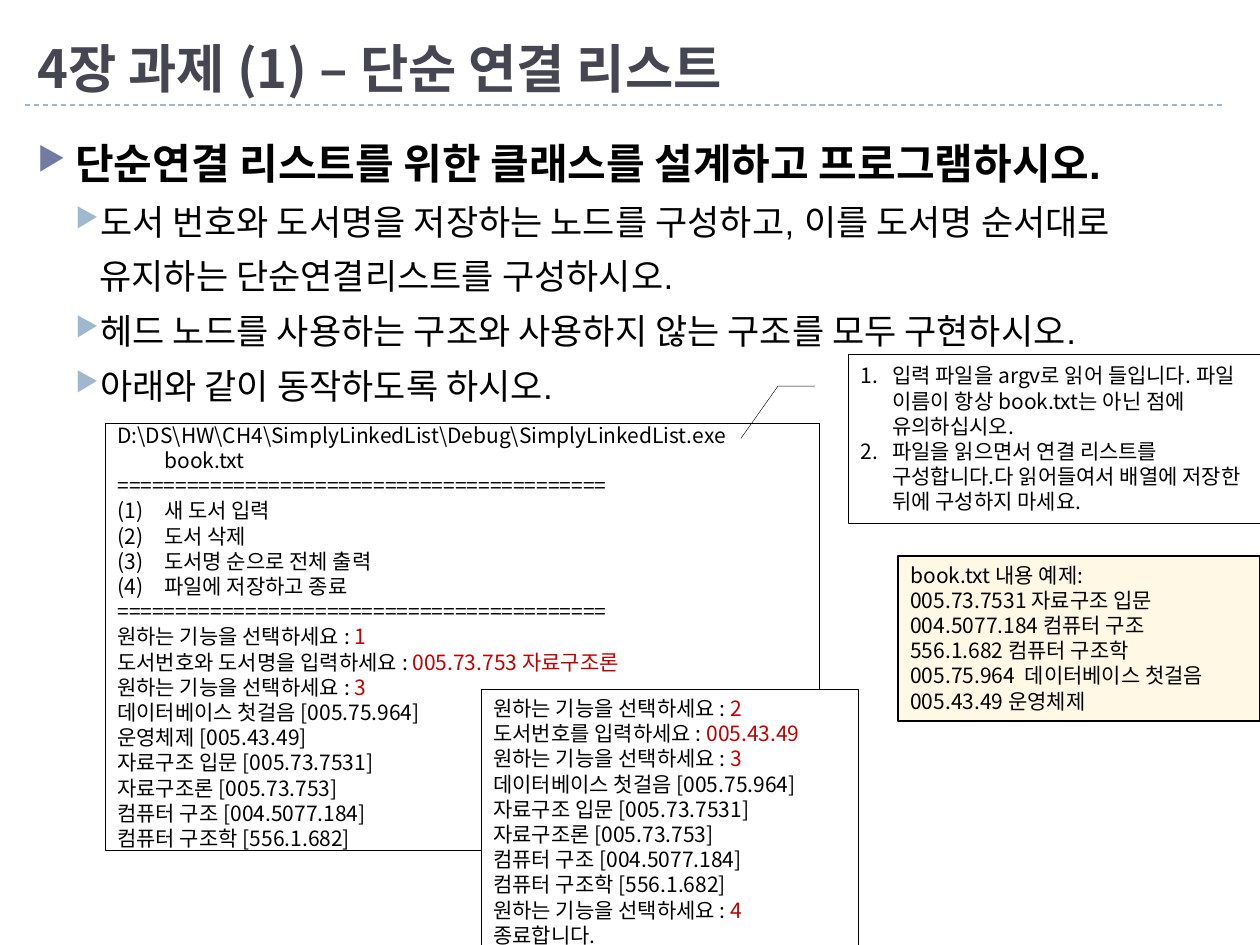
import pptx
import pptx.util
import pptx.dml.color
import pptx.enum.dml
import pptx.enum.shapes
import pptx.enum.text
import pptx.oxml
import pptx.oxml.ns
from lxml import etree

PX = 914400 // 126
theme = dict(
    title="464653", ink="000000", red="C00000", rule="9FB8CD", mark="727CA3",
    white="FFFFFF", cream="FEF8E4", font="Noto Sans CJK KR", body="Arial",
    big=30, head=24, item=20, small=12)
qn = pptx.oxml.ns.qn
Pt = pptx.util.Pt
RGB = pptx.dml.color.RGBColor.from_string
kinds = pptx.enum.shapes.MSO_SHAPE
anchors = pptx.enum.text.MSO_ANCHOR

deck = pptx.Presentation()
deck.slide_width, deck.slide_height = 1260 * PX, 945 * PX
slide = deck.slides.add_slide(deck.slide_layouts[6])
shapes = slide.shapes


def add_run(para, text, size, color, font=theme["font"], bold=False):
    run = para.add_run()
    run.text = text
    run.font.size = Pt(size)
    run.font.bold = bold
    run.font.name = font
    run.font.color.rgb = RGB(color)
    east = etree.SubElement(run._r.get_or_add_rPr(), qn("a:ea"))
    east.set("typeface", theme["font"])


def set_para(para, hang, tag=None, value=None, color=None):
    props = para._p.get_or_add_pPr()
    props.set("marL", str(hang * PX))
    props.set("indent", str(-hang * PX))
    if color:
        tint = etree.SubElement(props, qn("a:buClr"))
        etree.SubElement(tint, qn("a:srgbClr")).set("val", color)
        etree.SubElement(props, qn("a:buSzPct")).set("val", "76000")
    if tag:
        key = "char" if tag == "a:buChar" else "type"
        etree.SubElement(props, qn(tag)).set(key, value)


rule = shapes.add_connector(
    pptx.enum.shapes.MSO_CONNECTOR.STRAIGHT, 25 * PX, 105 * PX, 1222 * PX, 105 * PX)
rule.line.color.rgb = RGB(theme["rule"])
rule.line.width = Pt(0.75)
rule.line.dash_style = pptx.enum.dml.MSO_LINE.DASH
etree.SubElement(rule._element.spPr, qn("a:effectLst"))

title = shapes.add_textbox(25 * PX, 21 * PX, 1201 * PX, 84 * PX).text_frame
title.word_wrap = True
title.vertical_anchor = anchors.BOTTOM
add_run(title.paragraphs[0], "4장 과제 (1) – 단순 연결 리스트",
        theme["big"], theme["title"], bold=True)

body = shapes.add_textbox(25 * PX, 116 * PX, 1211 * PX, 804 * PX).text_frame
body.word_wrap = True
points = [
    "단순연결 리스트를 위한 클래스를 설계하고 프로그램하시오.",
    "도서 번호와 도서명을 저장하는 노드를 구성하고, 이를 도서명 순서대로 유지하는 단순연결리스트를 구성하시오.",
    "헤드 노드를 사용하는 구조와 사용하지 않는 구조를 모두 구현하시오.",
    "아래와 같이 동작하도록 하시오.",
]
for i, text in enumerate(points):
    top = i == 0
    para = body.paragraphs[0] if top else body.add_paragraph()
    para.level = 0 if top else 1
    para.line_spacing = 1.3
    para.space_before = Pt(12 if top else 0)
    set_para(para, 38 if top else 62, "a:buChar", "▶", theme["mark" if top else "rule"])
    if not top:
        para._p.pPr.set("indent", str(-24 * PX))
    add_run(para, text, theme["head" if top else "item"], theme["ink"],
            theme["body"], top)

bar = "=" * 42
ask = "원하는 기능을 선택하세요 : |"
data = "데이터베이스 첫걸음 [005.75.964] "
books = ["자료구조 입문 [005.73.7531]", "자료구조론 [005.73.753]",
         "컴퓨터 구조 [004.5077.184]", "컴퓨터 구조학 [556.1.682]"]
menu = ["새 도서 입력 ", "도서 삭제", "도서명 순으로 전체 출력", "파일에 저장하고 종료"]
notes = ["입력 파일을 argv로 읽어 들입니다. 파일 이름이 항상 book.txt는 아닌 점에 유의하십시오.",
         "파일을 읽으면서 연결 리스트를 구성합니다.다 읽어들여서 배열에 저장한 뒤에 구성하지 마세요."]
sample = ["book.txt 내용 예제:", "005.73.7531 자료구조 입문", "004.5077.184 컴퓨터 구조",
          "556.1.682 컴퓨터 구조학", "005.75.964  데이터베이스 첫걸음", "005.43.49 운영체제"]
paren, dot = "arabicParenBoth", "arabicPeriod"

boxes = [
    (kinds.RECTANGLE, (105, 423, 714, 427), None, 0.25, anchors.MIDDLE, [
        (47, None, [r"D:\DS\HW\CH4\SimplyLinkedList\Debug\SimplyLinkedList.exe book.txt", bar]),
        (47, paren, menu),
        (47, None, [bar, ask + "1", "도서번호와 도서명을 입력하세요 : |005.73.753 자료구조론", ask + "3"]),
        (12, None, [data, "운영체제 [005.43.49] "] + books)]),
    (kinds.LINE_CALLOUT_2, (848, 354, 412, 169), None, 0.25, anchors.MIDDLE, [
        (32, dot, notes)]),
    (kinds.RECTANGLE, (481, 689, 377, 265), theme["white"], 0.25, anchors.MIDDLE, [
        (47, None, [ask + "2", "도서번호를 입력하세요 : |005.43.49", ask + "3"]),
        (12, None, [data] + books + [ask + "4", "종료합니다."])]),
    (kinds.RECTANGLE, (898, 556, 362, 165), theme["cream"], 0.75, anchors.TOP, [
        (12, None, sample)]),
]
for kind, place, fill, width, anchor, groups in boxes:
    box = shapes.add_shape(kind, *[n * PX for n in place])
    box.shadow.inherit = False
    if fill:
        box.fill.solid()
        box.fill.fore_color.rgb = RGB(fill)
    else:
        box.fill.background()
    box.line.color.rgb = RGB(theme["ink"])
    box.line.width = Pt(width)
    if kind == kinds.LINE_CALLOUT_2:
        for i, value in enumerate([0.19, -0.08, 0.19, -0.17, 0.5, -0.26]):
            box.adjustments[i] = value
    frame = box.text_frame
    frame.word_wrap = True
    frame.vertical_anchor = anchor
    para = None
    for hang, number, lines in groups:
        for text in lines:
            para = frame.add_paragraph() if para else frame.paragraphs[0]
            para.alignment = pptx.enum.text.PP_ALIGN.LEFT
            set_para(para, hang, "a:buAutoNum" if number else None, number)
            for part, color in zip(text.split("|"), ("ink", "red")):
                add_run(para, part, theme["small"], theme[color])

deck.save("out.pptx")
